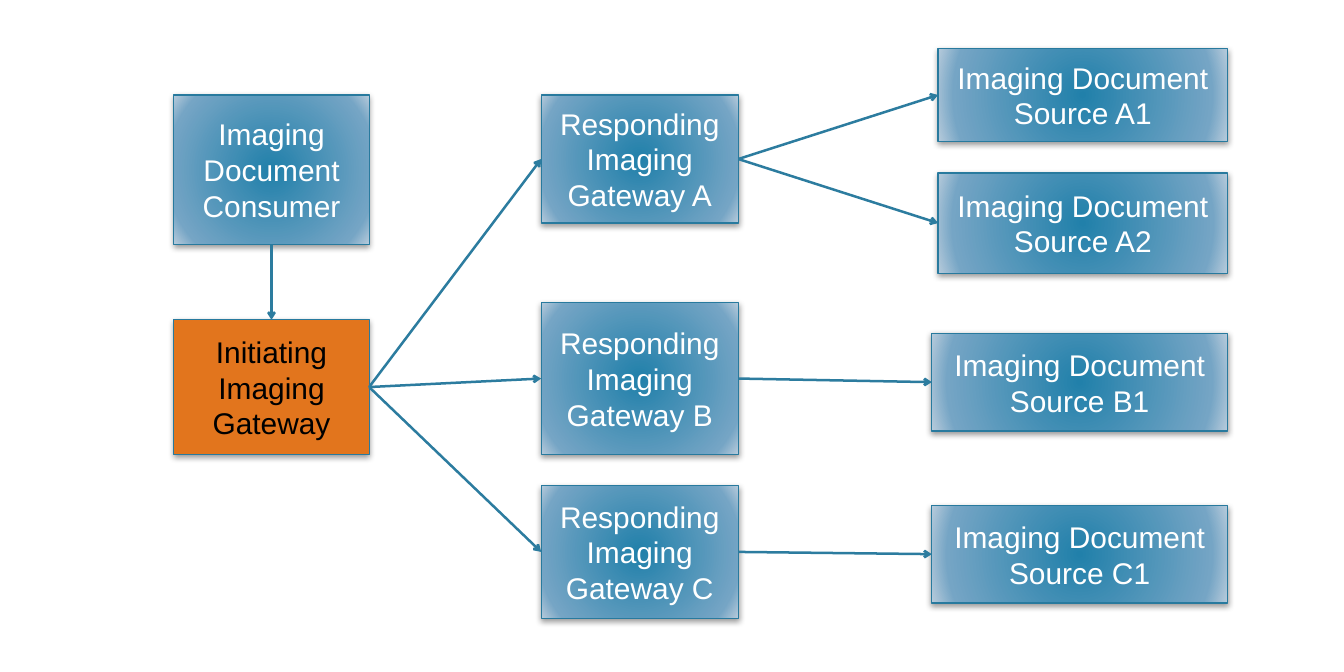
from pptx import Presentation
from pptx.dml.color import RGBColor
from pptx.enum.shapes import MSO_CONNECTOR, MSO_SHAPE
from pptx.enum.text import MSO_ANCHOR, PP_ALIGN
from pptx.oxml import parse_xml
from pptx.oxml.ns import nsdecls, qn
from pptx.util import Inches, Pt

RECTANGLE = MSO_SHAPE.RECTANGLE
STRAIGHT = MSO_CONNECTOR.STRAIGHT
MIDDLE = MSO_ANCHOR.MIDDLE
CENTER = PP_ALIGN.CENTER
TOP, LEFT, BOTTOM, RIGHT = range(4)

COLORS = {
    "highlight": "E2751D",
    "center": "2180AA",
    "middle": "75A5C5",
    "edge": "B8CCDC",
    "border": "287A9E",
    "arrow": "2C7C9F",
    "shadow": "000000",
    "dark text": "000000",
    "light text": "FFFFFF",
}
NAMESPACE = nsdecls("a")
GRADIENT = f"""<a:gradFill {NAMESPACE} rotWithShape="1"><a:gsLst>
<a:gs pos="0"><a:srgbClr val="{COLORS['center']}"/></a:gs>
<a:gs pos="85000"><a:srgbClr val="{COLORS['middle']}"/></a:gs>
<a:gs pos="100000"><a:srgbClr val="{COLORS['edge']}"/></a:gs></a:gsLst>
<a:path path="circle"><a:fillToRect l="50000" t="50000" r="50000" b="50000"/></a:path>
</a:gradFill>"""
SHADOW = f"""<a:effectLst {NAMESPACE}>
<a:outerShdw blurRad="{Pt(5)}" dist="{Pt(2)}" dir="5400000" rotWithShape="0">
<a:srgbClr val="{COLORS['shadow']}"><a:alpha val="40000"/></a:srgbClr>
</a:outerShdw></a:effectLst>"""

BOXES = {
    "Initiating Imaging Gateway": (1.94, 3.57, 2.18, 1.5),
    "Imaging Document Consumer": (1.94, 1.06, 2.18, 1.67),
    "Responding Imaging Gateway A": (6.04, 1.06, 2.2, 1.43),
    "Responding Imaging Gateway B": (6.04, 3.38, 2.2, 1.69),
    "Responding Imaging Gateway C": (6.04, 5.42, 2.2, 1.48),
    "Imaging Document Source A1": (10.47, 0.54, 3.23, 1.04),
    "Imaging Document Source A2": (10.47, 1.93, 3.23, 1.12),
    "Imaging Document Source B1": (10.4, 3.72, 3.3, 1.09),
    "Imaging Document Source C1": (10.4, 5.64, 3.3, 1.09),
}
INITIATOR, CONSUMER, *RESPONDERS_AND_SOURCES = BOXES
RESPONDERS = RESPONDERS_AND_SOURCES[:3]
SOURCES = RESPONDERS_AND_SOURCES[3:]

presentation = Presentation()
presentation.slide_width = Inches(15)
presentation.slide_height = Inches(7.5)
slide = presentation.slides.add_slide(presentation.slide_layouts[6])

shapes = {}
for label, box in BOXES.items():
    shape = slide.shapes.add_shape(RECTANGLE, *map(Inches, box))
    shapes[label] = shape
    properties = shape._element.spPr
    text_color = "light text"
    if label == INITIATOR:
        shape.fill.solid()
        shape.fill.fore_color.rgb = RGBColor.from_string(COLORS["highlight"])
        text_color = "dark text"
    else:
        properties.find(qn("a:prstGeom")).addnext(parse_xml(GRADIENT))
    shape.line.color.rgb = RGBColor.from_string(COLORS["border"])
    shape.line.width = Pt(1)
    properties.append(parse_xml(SHADOW))

    frame = shape.text_frame
    frame.word_wrap = True
    frame.vertical_anchor = MIDDLE
    paragraph = frame.paragraphs[0]
    paragraph.alignment = CENTER
    run = paragraph.add_run()
    run.text = label
    for name, value in {"name": "Arial", "size": Pt(24)}.items():
        setattr(run.font, name, value)
    run.font.color.rgb = RGBColor.from_string(COLORS[text_color])

links = [(CONSUMER, BOTTOM, INITIATOR, TOP)]
links += [(INITIATOR, RIGHT, responder, LEFT) for responder in RESPONDERS]
links += [
    (responder, RIGHT, source, LEFT)
    for responder in RESPONDERS
    for source in SOURCES
    if source.split()[-1][0] == responder[-1]
]
for start, start_side, end, end_side in links:
    connector = slide.shapes.add_connector(STRAIGHT, 0, 0, 0, 0)
    connector.begin_connect(shapes[start], start_side)
    connector.end_connect(shapes[end], end_side)
    connector.line.color.rgb = RGBColor.from_string(COLORS["arrow"])
    connector.line.width = Pt(2)
    connector.line._get_or_add_ln().append(
        parse_xml(f'<a:tailEnd {NAMESPACE} type="arrow"/>')
    )
    connector._element.spPr.append(parse_xml(f"<a:effectLst {NAMESPACE}/>"))

presentation.save("out.pptx")
